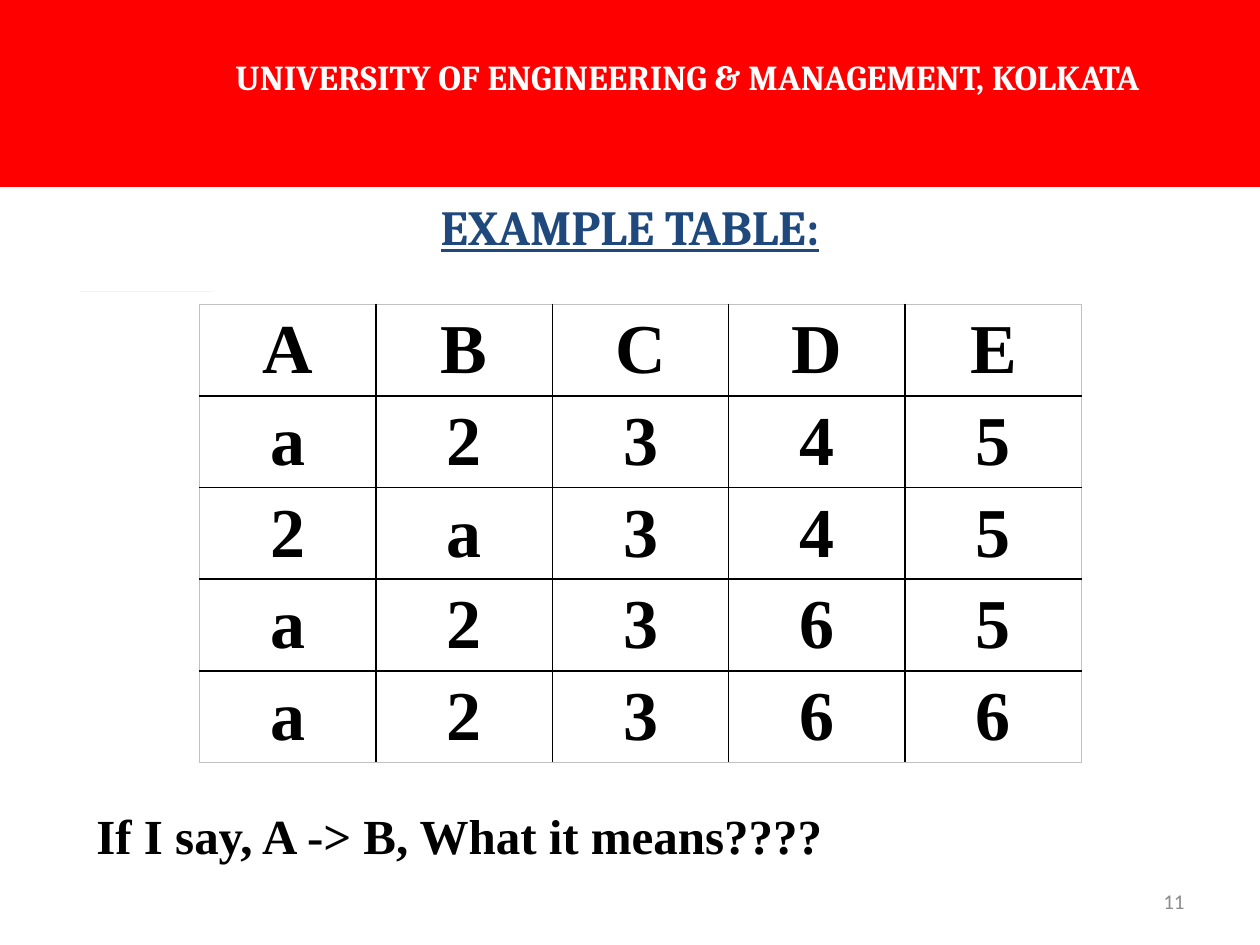
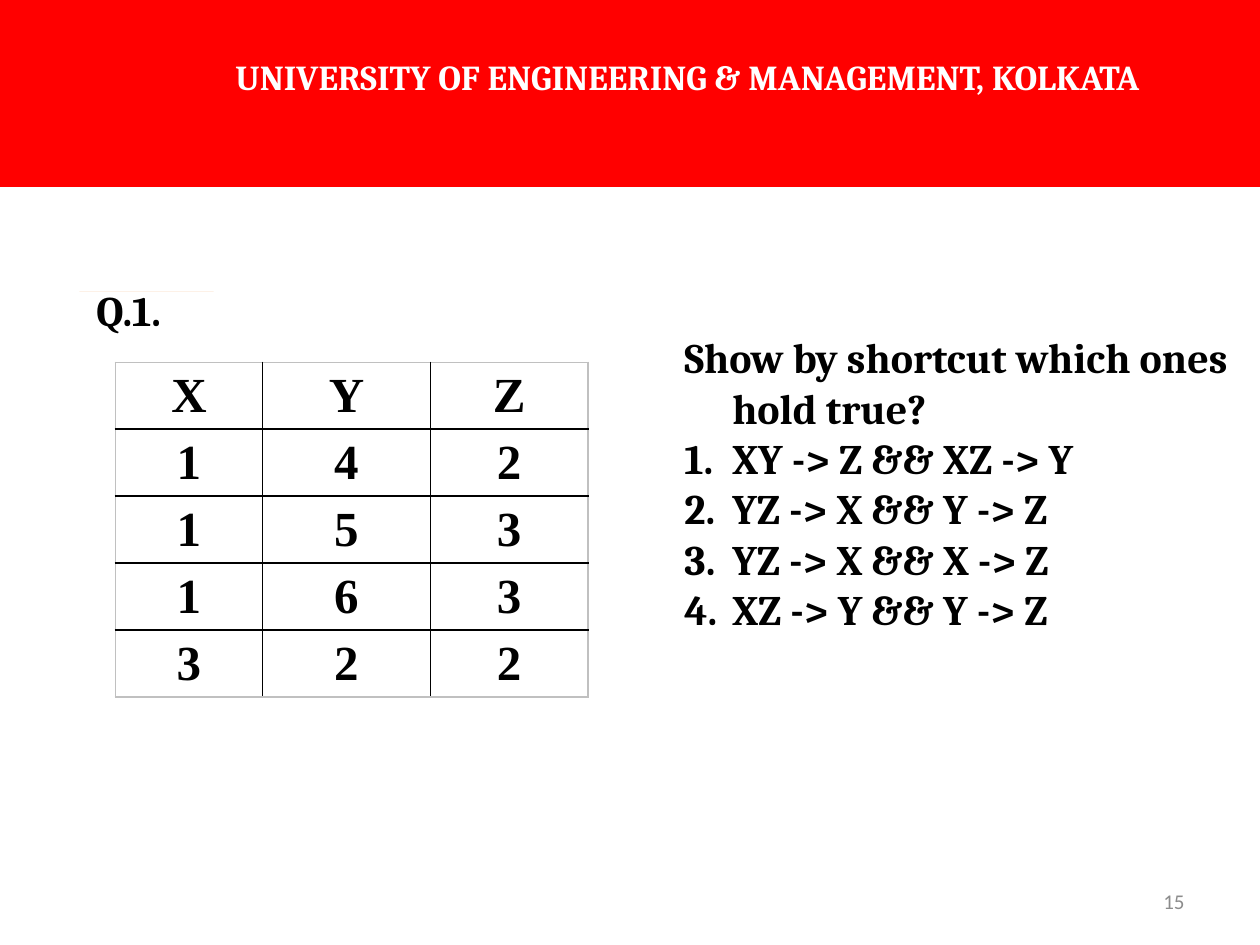
from dataclasses import dataclass

from lxml import etree
from pptx import Presentation, util as u
from pptx.dml.color import RGBColor
from pptx.enum import shapes, text
from pptx.oxml.ns import qn

COLUMNS, ROWS = 120, 90  # slide grid, twelve units to the inch
TITLE_ONLY, BLANK = 5, 6
PLAIN_TABLE_STYLE = "{2D5ABB26-0587-4C30-8999-92F81FD0307C}"
CENTER, LEFT, RIGHT = text.PP_ALIGN.CENTER, text.PP_ALIGN.LEFT, text.PP_ALIGN.RIGHT
MIDDLE, TOP = text.MSO_ANCHOR.MIDDLE, text.MSO_ANCHOR.TOP


@dataclass(frozen=True)
class Theme:
    red: str = "FF0000"
    white: str = "FFFFFF"
    black: str = "000000"
    navy: str = "1F497D"
    orange: str = "F79646"
    gray: str = "8C8C8C"
    frame: str = "C0C0C0"
    heading_font: str = "Cambria"
    data_font: str = "Times New Roman"
    number_font: str = "Calibri"
    large: int = 40
    title: int = 28
    body: int = 24
    banner: int = 20
    small: int = 12


THEME = Theme()


def grid(units):
    return u.Inches(units / 12)


def place(box):
    return [grid(units) for units in box]


def style(paragraph, size, font, color=THEME.black, bold=True, align=LEFT):
    paragraph.alignment = align
    paragraph.font.size = u.Pt(size)
    paragraph.font.name = font
    paragraph.font.bold = bold
    paragraph.font.color.rgb = RGBColor.from_string(color)


def add_text(slide, box, lines, size, font, anchor=TOP, **look):
    frame = slide.shapes.add_textbox(*place(box)).text_frame
    frame.word_wrap = True
    frame.vertical_anchor = anchor
    frame.text = "\n".join(lines)
    for paragraph in frame.paragraphs:
        style(paragraph, size, font, **look)
    return frame


def add_plain_table(slide, left, top, widths, heights):
    box = (left, top, sum(widths), sum(heights))
    table = slide.shapes.add_table(len(heights), len(widths), *place(box)).table
    table.first_row = table.horz_banding = False
    table._tbl.tblPr.find(qn("a:tableStyleId")).text = PLAIN_TABLE_STYLE
    for column, width in zip(table.columns, widths):
        column.width = grid(width)
    for row, height in zip(table.rows, heights):
        row.height = grid(height)
    return table


def set_borders(cell, colors):
    """Draw one-point borders in the order left, right, top, bottom."""
    properties = cell._tc.get_or_add_tcPr()
    for index, (side, color) in enumerate(zip("LRTB", colors)):
        line = etree.Element(qn(f"a:ln{side}"), w=str(u.Pt(1)))
        fill = etree.SubElement(line, qn("a:solidFill"))
        etree.SubElement(fill, qn("a:srgbClr"), val=color)
        properties.insert(index, line)


# Shared parts
def add_banner(slide):
    table = add_plain_table(slide, 0, 0, (14, 103, 3), (5, 6.8, 6))
    for cell in table.iter_cells():
        cell.fill.solid()
        cell.fill.fore_color.rgb = RGBColor.from_string(THEME.red)
    table.cell(0, 0).merge(table.cell(0, 1))
    table.cell(1, 0).merge(table.cell(2, 0))
    table.cell(2, 1).merge(table.cell(2, 2))
    name = table.cell(1, 1)
    name.text = "UNIVERSITY OF ENGINEERING & MANAGEMENT, KOLKATA"
    style(name.text_frame.paragraphs[0], THEME.banner, THEME.heading_font,
          THEME.white, align=CENTER)


def add_accent(slide):
    accent = slide.shapes.add_shape(shapes.MSO_SHAPE.RECTANGLE, *place((7.56, 27.8, 12.8, 0)))
    accent.shadow.inherit = False
    accent.fill.solid()
    accent.fill.fore_color.rgb = RGBColor.from_string(THEME.orange)
    accent.line.fill.background()


def start_slide(presentation, layout, number):
    slide = presentation.slides.add_slide(presentation.slide_layouts[layout])
    add_accent(slide)
    add_banner(slide)
    add_text(slide, (86, 83.4, 28, 4.8), [str(number)], THEME.small, THEME.number_font,
             MIDDLE, color=THEME.gray, bold=False, align=RIGHT)
    return slide


# Relation tables: black inner rules in a gray frame
def add_relation(slide, left, top, widths, row_height, records, size):
    table = add_plain_table(slide, left, top, widths, [row_height] * len(records))
    last_row, last_column = len(records) - 1, len(widths) - 1
    for row, record in enumerate(records):
        for column, value in enumerate(record):
            cell = table.cell(row, column)
            cell.text = value
            cell.vertical_anchor = MIDDLE
            cell.margin_top = cell.margin_bottom = u.Inches(0.03)
            cell.fill.background()
            style(cell.text_frame.paragraphs[0], size, THEME.data_font, align=CENTER)
            outer = (column == 0, column == last_column, row == 0, row == last_row)
            set_borders(cell, [THEME.frame if edge else THEME.black for edge in outer])


# Title
def set_title(slide, box, words):
    title = slide.shapes.title
    title.left, title.top, title.width, title.height = place(box)
    title.text_frame.text = words
    title.text_frame.vertical_anchor = MIDDLE
    paragraph = title.text_frame.paragraphs[0]
    style(paragraph, THEME.title, THEME.heading_font, THEME.navy, align=CENTER)
    paragraph.font.underline = True


# Prompt followed by numbered choices, all with a hanging indent
def add_choices(slide, box, prompt, choices):
    frame = add_text(slide, box, [prompt, *choices], THEME.body, THEME.heading_font)
    for index, paragraph in enumerate(frame.paragraphs):
        properties = paragraph._p.get_or_add_pPr()
        indent = u.Inches(0.38)
        properties.set("marL", str(indent))
        properties.set("indent", str(-indent))
        if index:
            number = etree.Element(qn("a:buAutoNum"), type="arabicPeriod")
            properties.insert(0, number)


def build_example(presentation):
    slide = start_slide(presentation, TITLE_ONLY, 11)
    records = ["ABCDE", "a2345", "2a345", "a2365", "a2366"]
    add_relation(slide, 19, 29, [16.8] * 5, 8.57, records, THEME.large)
    set_title(slide, (6, 14, 108, 15), "EXAMPLE TABLE:")
    add_text(slide, (8, 72, 108, 15), ["If I say, A -> B, What it means????"],
             THEME.title, THEME.data_font, MIDDLE)


def build_question(presentation):
    slide = start_slide(presentation, BLANK, 15)
    records = ["XYZ", "142", "153", "163", "322"]
    add_relation(slide, 11, 34.5, (14, 16, 15), 6.38, records, THEME.title)
    choices = ["XY -> Z && XZ -> Y", "YZ -> X && Y -> Z",
               "YZ -> X && X -> Z", "XZ -> Y && Y -> Z"]
    add_choices(slide, (64, 31, 56, 40), "Show by shortcut which ones hold true?", choices)
    add_text(slide, (8, 26.5, 21, 6.1), ["Q.1."], THEME.body, THEME.heading_font)


def main():
    presentation = Presentation()
    presentation.slide_width, presentation.slide_height = grid(COLUMNS), grid(ROWS)
    build_example(presentation)
    build_question(presentation)
    presentation.save("out.pptx")


if __name__ == "__main__":
    main()
